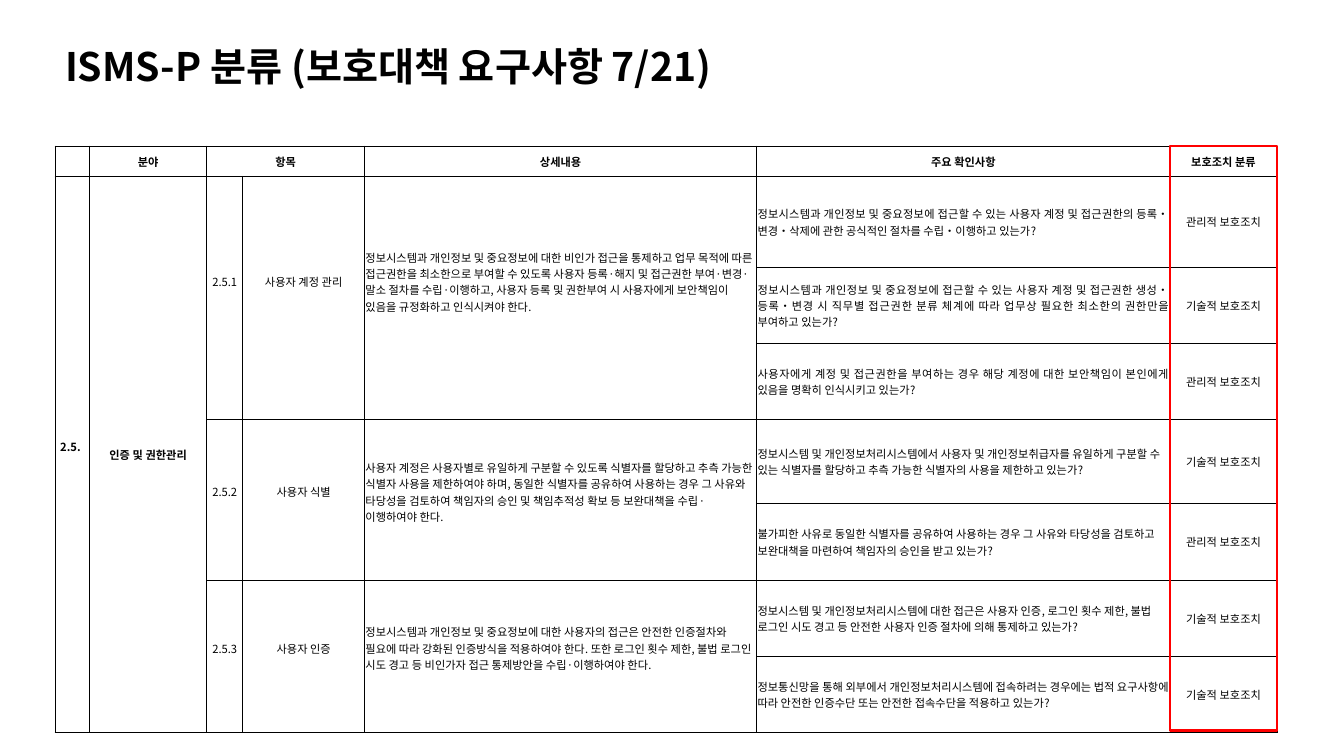
from lxml import etree
from pptx import Presentation
from pptx.dml.color import RGBColor
from pptx.enum import shapes, text
from pptx.oxml import ns
from pptx.util import Cm, Pt

FONT = "Noto Sans CJK KR"
BLACK = "000000"
LEFT, TOP = 1.39, 3.68
COLS = [0.87, 2.95, 0.91, 3.07, 9.88, 10.42, 2.69]
ROWS = [0.71, 2.3, 1.92, 1.92, 2.11, 1.93, 1.92, 1.92]
LINE = 0.41
START = text.PP_ALIGN.LEFT
MID = text.PP_ALIGN.CENTER
FULL = text.PP_ALIGN.JUSTIFY
ADMIN = "관리적 보호조치"
TECH = "기술적 보호조치"
HEADS = {1: "분야", 2: "항목", 4: "상세내용", 5: "주요 확인사항", 6: "보호조치 분류"}
ITEMS = [
    ("2.5.1", "사용자 계정 관리",
     "정보시스템과 개인정보 및 중요정보에 대한 비인가 접근을 통제하고 업무 목적에 따른 접근권한을 "
     "최소한으로 부여할 수 있도록 사용자 등록·해지 및 접근권한 부여·변경·말소 절차를 수립·이행하고, "
     "사용자 등록 및 권한부여 시 사용자에게 보안책임이 있음을 규정화하고 인식시켜야 한다.",
     [("정보시스템과 개인정보 및 중요정보에 접근할 수 있는 사용자 계정 및 접근권한의 "
       "등록‧변경‧삭제에 관한 공식적인 절차를 수립‧이행하고 있는가?", FULL, ADMIN),
      ("정보시스템과 개인정보 및 중요정보에 접근할 수 있는 사용자 계정 및 접근권한 "
       "생성‧등록‧변경 시 직무별 접근권한 분류 체계에 따라 업무상 필요한 최소한의 "
       "권한만을 부여하고 있는가?", FULL, TECH),
      ("사용자에게 계정 및 접근권한을 부여하는 경우 해당 계정에 대한 보안책임이 "
       "본인에게 있음을 명확히 인식시키고 있는가?", FULL, ADMIN)]),
    ("2.5.2", "사용자 식별",
     "사용자 계정은 사용자별로 유일하게 구분할 수 있도록 식별자를 할당하고 추측 가능한 식별자 사용을 "
     "제한하여야 하며, 동일한 식별자를 공유하여 사용하는 경우 그 사유와 타당성을 검토하여 책임자의 "
     "승인 및 책임추적성 확보 등 보완대책을 수립·이행하여야 한다.",
     [("정보시스템 및 개인정보처리시스템에서 사용자 및 개인정보취급자를 유일하게 구분할 수 있는 "
       "식별자를 할당하고 추측 가능한 식별자의 사용을 제한하고 있는가?", START, TECH),
      ("불가피한 사유로 동일한 식별자를 공유하여 사용하는 경우 그 사유와 타당성을 검토하고 "
       "보완대책을 마련하여 책임자의 승인을 받고 있는가?", START, ADMIN)]),
    ("2.5.3", "사용자 인증",
     "정보시스템과 개인정보 및 중요정보에 대한 사용자의 접근은 안전한 인증절차와 필요에 따라 강화된 "
     "인증방식을 적용하여야 한다. 또한 로그인 횟수 제한, 불법 로그인 시도 경고 등 비인가자 접근 "
     "통제방안을 수립·이행하여야 한다.",
     [("정보시스템 및 개인정보처리시스템에 대한 접근은 사용자 인증, 로그인 횟수 제한, 불법 로그인 "
       "시도 경고 등 안전한 사용자 인증 절차에 의해 통제하고 있는가?", START, TECH),
      ("정보통신망을 통해 외부에서 개인정보처리시스템에 접속하려는 경우에는 법적 요구사항에 따라 "
       "안전한 인증수단 또는 안전한 접속수단을 적용하고 있는가?", FULL, TECH)]),
]


def tint(code):
    """Return the colour for a hex string."""
    return RGBColor.from_string(code)


def write(para, words, size, bold=False):
    """Add one styled run to a paragraph."""
    run = para.add_run()
    run.text = words
    font = run.font
    font.size, font.bold, font.name = Pt(size), bold, FONT
    font.color.rgb = tint(BLACK)
    east = etree.SubElement(run._r.get_or_add_rPr(), ns.qn("a:ea"))
    east.set("typeface", FONT)


def title(slide, words):
    """Add the slide heading."""
    box = slide.shapes.add_textbox(Cm(1.39), Cm(0.94), Cm(22.17), Cm(1.45))
    frame = box.text_frame
    frame.word_wrap = True
    frame.auto_size = text.MSO_AUTO_SIZE.SHAPE_TO_FIT_TEXT
    write(frame.paragraphs[0], words, 28, True)


def edge(cell, side, width):
    """Draw one border of a cell."""
    props = cell._tc.get_or_add_tcPr()
    line = etree.SubElement(props, ns.qn("a:ln" + side), w=str(Pt(width)))
    fill = etree.SubElement(line, ns.qn("a:solidFill"))
    etree.SubElement(fill, ns.qn("a:srgbClr"), val=BLACK)


def grid(slide):
    """Add the empty ruled table."""
    frame = slide.shapes.add_table(len(ROWS), len(COLS), Cm(LEFT), Cm(TOP),
                                   Cm(sum(COLS)), Cm(sum(ROWS)))
    table = frame.table
    table.first_row = table.horz_banding = False
    for col, width in zip(table.columns, COLS):
        col.width = Cm(width)
    for row, height in zip(table.rows, ROWS):
        row.height = Cm(height)
        for num, cell in enumerate(row.cells):
            edge(cell, "L", 1 if num == 0 else 0.75)
            edge(cell, "R", 1 if num == len(COLS) - 1 else 0.75)
            edge(cell, "T", 0.75)
            edge(cell, "B", 0.75)
            cell.fill.background()
            cell.margin_left = cell.margin_right = Cm(0.02)
            cell.margin_top = cell.margin_bottom = 0
    return table


def put(cell, words, align=MID, bold=False, lift=0):
    """Fill a cell, raised by a bottom margin of some lines."""
    cell.vertical_anchor = text.MSO_ANCHOR.MIDDLE
    cell.margin_bottom = Cm(lift * LINE)
    para = cell.text_frame.paragraphs[0]
    para.alignment = align
    write(para, words, 8, bold)


def span(table, row, col, last, end):
    """Merge a block of cells and return its first cell."""
    cell = table.cell(row, col)
    cell.merge(table.cell(last, end))
    return cell


def fill(table):
    """Write the headings and every item with its checks."""
    span(table, 0, 2, 0, 3)
    for col, words in HEADS.items():
        put(table.cell(0, col), words, bold=True)
    last = len(ROWS) - 1
    area = span(table, 1, 0, last, 0)
    put(area, "2.5.", bold=True, lift=1)
    area.margin_right = Cm(0.12)
    put(span(table, 1, 1, last, 1), "인증 및 권한관리", bold=True)
    row = 1
    for code, name, detail, checks in ITEMS:
        end = row + len(checks) - 1
        for col, words in enumerate((code, name, detail), 2):
            align = START if col == 4 else MID
            put(span(table, row, col, end, col), words, align, lift=end - row)
        for num, (check, align, kind) in enumerate(checks, row):
            put(table.cell(num, 5), check, align)
            put(table.cell(num, 6), kind)
        row = end + 1


def frame(slide):
    """Outline the last column in red."""
    wide = COLS[-1]
    box = slide.shapes.add_shape(
        shapes.MSO_SHAPE.RECTANGLE, Cm(LEFT + sum(COLS) - wide), Cm(TOP),
        Cm(wide), Cm(sum(ROWS)))
    box.shadow.inherit = False
    box.fill.background()
    box.line.color.rgb = tint("FF0000")
    box.line.width = Pt(1.5)


def main():
    """Build and save the slide."""
    deck = Presentation()
    deck.slide_width, deck.slide_height = Cm(33.87), Cm(19.05)
    slide = deck.slides.add_slide(deck.slide_layouts[6])
    title(slide, "ISMS-P 분류 (보호대책 요구사항 7/21)")
    fill(grid(slide))
    frame(slide)
    deck.save("out.pptx")


if __name__ == "__main__":
    main()
